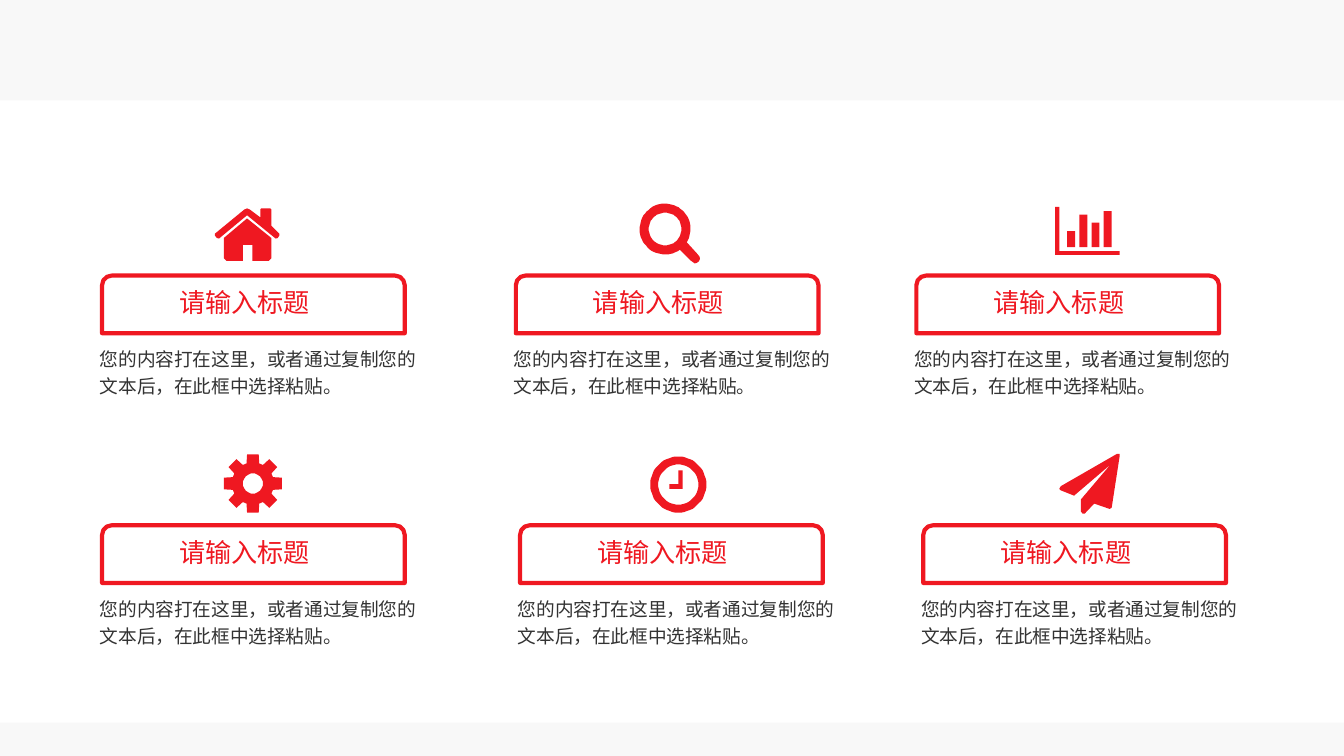
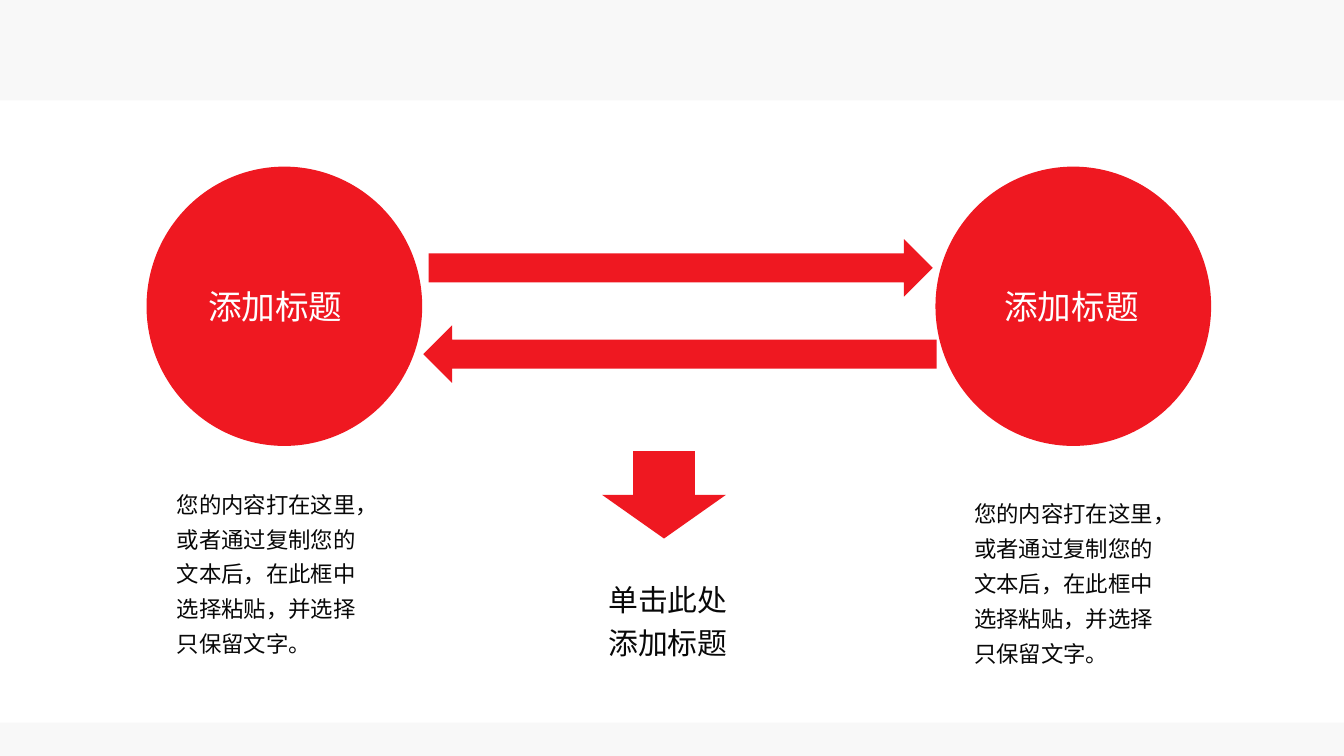
import math
from dataclasses import dataclass

import lxml.etree
import pptx
import pptx.dml.color
import pptx.enum.shapes
import pptx.enum.text
import pptx.oxml.ns
import pptx.util

Cm = pptx.util.Cm
Kind = pptx.enum.shapes.MSO_SHAPE
Align = pptx.enum.text.PP_ALIGN


def tint(code):
    return pptx.dml.color.RGBColor.from_string(code)


@dataclass(frozen=True)
class Theme:
    font: str = "Noto Sans CJK SC"
    red = tint("EF1821")
    white = tint("FFFFFF")
    back = tint("F8F8F8")
    grey = tint("333333")
    ink = tint("080808")
    small: int = 10
    body: int = 12
    label: int = 14
    head: int = 16
    large: int = 18
    line: float = 2.25


theme = Theme()


def write(shape, text, size, color, pad, align=Align.LEFT, space=None):
    frame = shape.text_frame
    frame.word_wrap = True
    frame.margin_left = frame.margin_right = Cm(pad)
    frame.margin_top = frame.margin_bottom = Cm(pad / 2)
    frame.text = text
    para = frame.paragraphs[0]
    para.alignment = align
    if space:
        para.line_spacing = space
    for run in para.runs:
        run.font.size = pptx.util.Pt(size)
        run.font.color.rgb = color
        run.font.name = theme.font
        east = lxml.etree.SubElement(run._r.get_or_add_rPr(), pptx.oxml.ns.qn("a:ea"))
        east.set("typeface", theme.font)
    return frame


def add_text(slide, box, text, size, color, pad, **style):
    shape = slide.shapes.add_textbox(*map(Cm, box))
    frame = write(shape, text, size, color, pad, **style)
    frame.auto_size = pptx.enum.text.MSO_AUTO_SIZE.SHAPE_TO_FIT_TEXT


def paint(shape, color):
    shape.shadow.inherit = False
    shape.fill.solid()
    shape.fill.fore_color.rgb = color
    shape.line.fill.background()


def add_solid(slide, kind, box, color=theme.red):
    shape = slide.shapes.add_shape(kind, *map(Cm, box))
    paint(shape, color)
    return shape


def add_page(deck):
    slide = deck.slides.add_slide(deck.slide_layouts[6])
    add_solid(slide, Kind.RECTANGLE, (0, 1.9, 25.4, 11.76), theme.white)
    return slide


def polar(mid, size, angle):
    turn = math.radians(angle)
    return mid[0] + size * math.cos(turn), mid[1] + size * math.sin(turn)


def arc(mid, size, start=0, end=360, count=60):
    step = (end - start) / count
    return [polar(mid, size, start + step * i) for i in range(count + 1)]


def block(left, top, right, base):
    return [(left, top), (right, top), (right, base), (left, base)]


def house():
    roof = [(119, 56), (115, 57), (61, 13), (8, 57), (4, 56), (0, 51), (0, 48),
            (56, 2), (61, 0), (66, 2), (86, 17), (86, 2), (88, 0), (105, 0),
            (107, 2), (107, 33), (122, 48), (122, 51)]
    walls = [(107, 94), (102, 99), (71, 99), (71, 69), (53, 69), (53, 99),
             (22, 99), (17, 94), (17, 56), (61, 19), (107, 56)]
    return [roof, walls]


def lens():
    mid = (48, 47)
    grip = [(109, 94), (113, 99), (114, 103), (112, 108), (108, 111),
            (104, 112), (97, 107)]
    return [arc(mid, 48, 55, 392) + grip, arc(mid, 31)]


def graph():
    axis = [(0, 0), (8, 0), (8, 84), (122, 84), (122, 91), (0, 91)]
    bars = [block(23 + 23 * i, top, 38 + 23 * i, 76)
            for i, top in enumerate((46, 15, 30, 8))]
    return [axis] + bars


def gear():
    mid = (56, 56)
    tooth = ((-17, 40), (-11, 56), (11, 56), (17, 40))
    rim = [polar(mid, size, 45 * i + angle) for i in range(8) for angle, size in tooth]
    return [rim, arc(mid, 19)]


def clock():
    mid = (53, 53)
    hands = [(61, 61), (36, 61), (36, 52), (53, 52), (53, 26), (61, 26)]
    return [arc(mid, 53), arc(mid, 38), hands]


def plane():
    return [[(114, 5), (99, 102), (95, 104), (66, 94), (48, 113), (44, 113),
             (41, 109), (41, 86), (97, 20), (28, 79), (3, 69), (0, 66),
             (3, 61), (109, 0), (114, 0)]]


def add_icon(slide, left, top, loops):
    pen = None
    for loop in loops:
        if pen is None:
            pen = slide.shapes.build_freeform(*loop[0], scale=Cm(0.01))
        else:
            pen.move_to(*loop[0])
        pen.add_line_segments(loop[1:], close=True)
    paint(pen.convert_to_shape(Cm(left), Cm(top)), theme.red)


def add_card(slide, left, top, icon, shift, lift):
    frame = slide.shapes.add_shape(Kind.ROUND_2_SAME_RECTANGLE,
                                   *map(Cm, (left, top, 5.72, 1.09)))
    frame.shadow.inherit = False
    frame.fill.background()
    frame.line.color.rgb = theme.red
    frame.line.width = pptx.util.Pt(theme.line)
    add_icon(slide, left + shift, top - lift, icon())
    add_text(slide, (left + 0.51, top + 0.1, 4.37, 0.79), "请输入标题",
             theme.label, theme.red, 0.2, align=Align.CENTER)
    add_text(slide, (left - 0.23, top + 1.19, 6.5, 1.22),
             "您的内容打在这里，或者通过复制您的文本后，在此框中选择粘贴。",
             theme.small, theme.grey, 0.19, space=1.2)


def build_cards(deck):
    slide = add_page(deck)
    rows = (
        (5.21, ((1.93, house, 2.13, 1.27), (9.75, lens, 2.34, 1.35),
                (17.32, graph, 2.62, 1.3))),
        (9.93, ((1.93, gear, 2.29, 1.35), (9.83, clock, 2.46, 1.3),
                (17.45, plane, 2.57, 1.35))),
    )
    for top, cards in rows:
        for left, icon, shift, lift in cards:
            add_card(slide, left, top, icon, shift, lift)


def add_side(slide, left, top, indent, shift, drop):
    disc = add_solid(slide, Kind.OVAL, (left, top, 5.21, 5.28))
    frame = write(disc, "添加标题", theme.large, theme.white, 0.25)
    frame.margin_left = Cm(indent)
    frame.vertical_anchor = pptx.enum.text.MSO_ANCHOR.MIDDLE
    add_text(slide, (left + shift, top + drop, 4.32, 3.68),
             "您的内容打在这里，或者通过复制您的文本后，在此框中选择粘贴，并选择只保留文字。",
             theme.body, theme.ink, 0.27, space=1.3)


def build_cycle(deck):
    slide = add_page(deck)
    add_solid(slide, Kind.RIGHT_ARROW, (8.1, 4.52, 9.53, 1.09))
    add_solid(slide, Kind.LEFT_ARROW, (8, 6.15, 9.7, 1.09))
    add_side(slide, 2.77, 3.15, 0.4, 0.3, 5.84)
    add_side(slide, 17.68, 3.15, 0.54, 0.46, 6.02)
    add_solid(slide, Kind.DOWN_ARROW, (11.38, 8.53, 2.34, 1.65))
    add_text(slide, (11.23, 10.72, 3.28, 1.9), "单击此处添加标题",
             theme.head, theme.ink, 0.27, space=1.2)


def main():
    deck = pptx.Presentation()
    deck.slide_width = Cm(25.4)
    deck.slide_height = Cm(14.29)
    fill = deck.slide_master.background.fill
    fill.solid()
    fill.fore_color.rgb = theme.back
    build_cards(deck)
    build_cycle(deck)
    deck.save("out.pptx")


if __name__ == "__main__":
    main()
